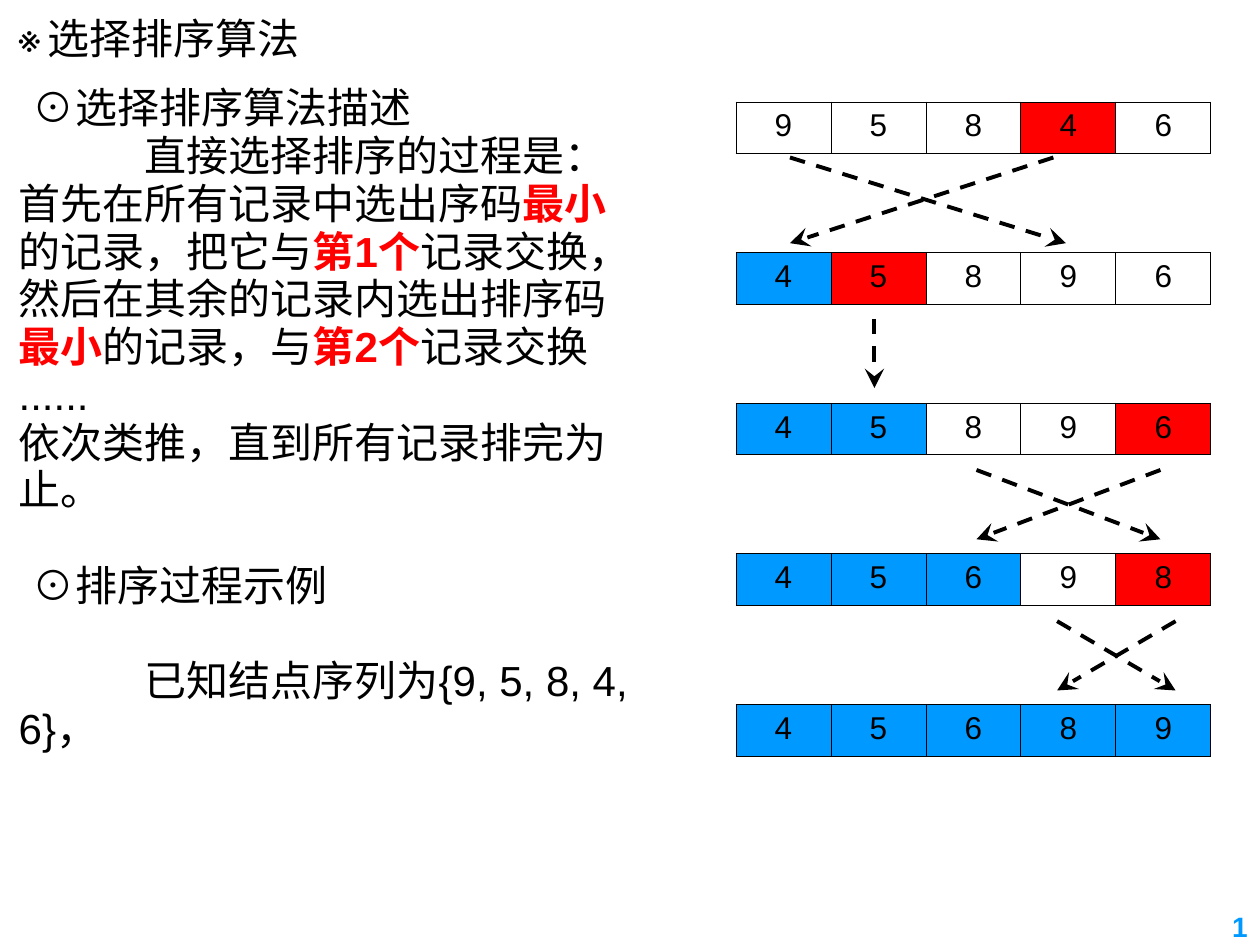
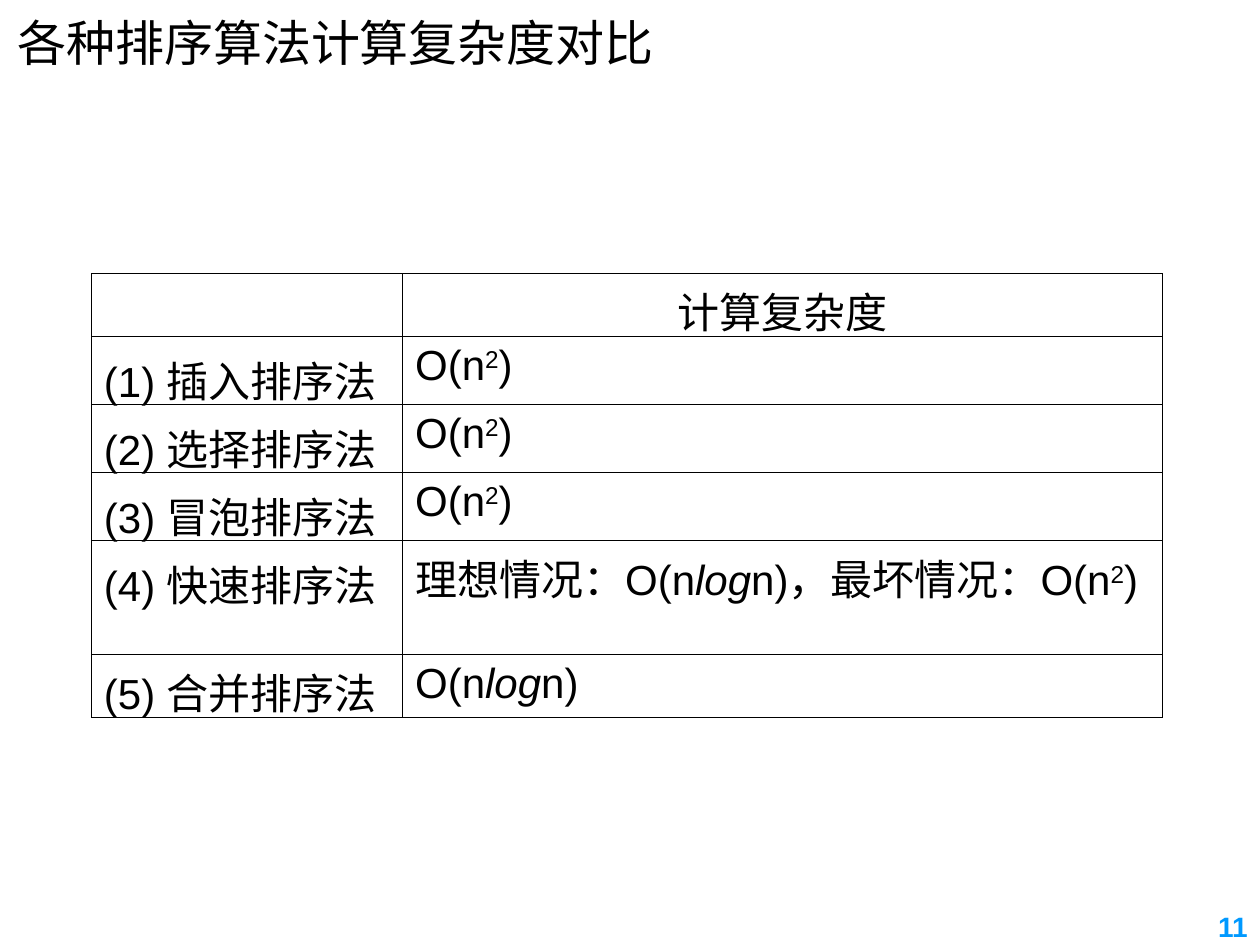
"""Build two slides on selection sort and the complexity of sorting algorithms."""
from lxml import etree
from pptx import Presentation
from pptx.dml.color import RGBColor
from pptx.enum import dml, shapes, text
from pptx.oxml import ns
from pptx.util import Inches, Pt

BLACK = RGBColor(0x00, 0x00, 0x00)
WHITE = RGBColor(0xFF, 0xFF, 0xFF)
RED = RGBColor(0xFF, 0x00, 0x00)
BLUE = RGBColor(0x00, 0x99, 0xFF)
FONT = "Arial"
BODY_SIZE = 24

KEY, LOG, POWER = "key", "log", "power"
HEADING, INDENTED, PLAIN = "heading", "indented", "plain"

SORT_TITLE = "选择排序算法"
DESCRIPTION = [
    (HEADING, 0, ["选择排序算法描述"]),
    (INDENTED, 0, ["直接选择排序的过程是："]),
    (PLAIN, 0, ["首先在所有记录中选出序码", ("最小", KEY), "的记录，把它与",
                ("第1个", KEY), "记录交换，"]),
    (PLAIN, 0, ["然后在其余的记录内选出排序码", ("最小", KEY), "的记录，与",
                ("第2个", KEY), "记录交换"]),
    (PLAIN, 0, ["......"]),
    (PLAIN, 0, ["依次类推，直到所有记录排完为止。"]),
    (HEADING, 1, ["排序过程示例"]),
    (INDENTED, 1, ["已知结点序列为{9, 5, 8, 4, 6}，"]),
]
SORT_STEPS = [
    {"values": "95846", "sorted": 0, "smallest": 3},
    {"values": "45896", "sorted": 1, "smallest": 1},
    {"values": "45896", "sorted": 2, "smallest": 4},
    {"values": "45698", "sorted": 3, "smallest": 4},
    {"values": "45689", "sorted": 5, "smallest": None},
]
SWAP_ARROWS = [
    (8.36, 1.25, 6.27, 1.93), (6.27, 1.25, 8.46, 1.93),
    (6.94, 2.53, 6.94, 3.08),
    (9.21, 3.73, 7.75, 4.28), (7.75, 3.73, 9.21, 4.28),
    (9.33, 4.93, 8.39, 5.48), (8.39, 4.93, 9.33, 5.48),
]

COMPLEXITY_TITLE = "各种排序算法计算复杂度对比"
COMPLEXITY_HEADER = "计算复杂度"
SQUARE = ["O(n", ("2", POWER), ")"]
N_LOG_N = ["O(n", ("log", LOG), "n)"]
COMPLEXITIES = [
    ("(1) 插入排序法", SQUARE, 0.54, 1.1),
    ("(2) 选择排序法", SQUARE, 0.54, 1.1),
    ("(3) 冒泡排序法", SQUARE, 0.54, 1.1),
    ("(4) 快速排序法", ["理想情况：O(n", ("log", LOG), "n)，最坏情况："] + SQUARE, 0.9, 1.1),
    ("(5) 合并排序法", N_LOG_N, 0.5, 1.0),
]


def write(para, pieces, size, color=BLACK, bold=False):
    for piece in pieces:
        wording, style = piece if isinstance(piece, tuple) else (piece, None)
        span = para.add_run()
        span.text = wording
        span.font.name = FONT
        span.font.size = Pt(size)
        span.font.bold = bold or style == KEY
        span.font.italic = style == LOG
        span.font.color.rgb = RED if style == KEY else color
        if style == POWER:
            span.font._element.set("baseline", "30000")


def set_indent(para, margin, first_line, bullet=None):
    props = para._p.get_or_add_pPr()
    props.set("marL", str(Inches(margin)))
    props.set("indent", str(Inches(first_line)))
    if bullet:
        etree.SubElement(props, ns.qn("a:buFont")).set("typeface", FONT)
        etree.SubElement(props, ns.qn("a:buChar")).set("char", bullet)


def add_box(page, left, top, width, height):
    box = page.shapes.add_textbox(*map(Inches, (left, top, width, height)))
    box.text_frame.word_wrap = True
    return box.text_frame


def add_page(deck, title, title_size, title_place, number):
    page = deck.slides.add_slide(deck.slide_layouts[6])
    title_para = add_box(page, *title_place).paragraphs[0]
    write(title_para, [title], title_size)
    number_para = add_box(page, 7.92, 7.17, 2.08, 0.5).paragraphs[0]
    number_para.alignment = text.PP_ALIGN.RIGHT
    write(number_para, [number], 16, BLUE, bold=True)
    return page, title_para


def add_grid(page, left, top, widths, heights):
    frame = page.shapes.add_table(len(heights), len(widths), *map(
        Inches, (left, top, sum(widths), sum(heights))))
    table = frame.table
    table.first_row = table.horz_banding = False
    for column, width in zip(table.columns, widths):
        column.width = Inches(width)
    for row, height in zip(table.rows, heights):
        row.height = Inches(height)
    for cell in table.iter_cells():
        props = cell._tc.get_or_add_tcPr()
        for side in ("a:lnL", "a:lnR", "a:lnT", "a:lnB"):
            line = etree.SubElement(props, ns.qn(side), w=str(Pt(0.45)))
            fill = etree.SubElement(line, ns.qn("a:solidFill"))
            etree.SubElement(fill, ns.qn("a:srgbClr"), val=str(BLACK))
        cell.fill.background()
    return table


def add_step(page, index, step):
    table = add_grid(page, 5.84, 0.81 + 1.195 * index, [0.754] * 5, [0.41])
    for position, value in enumerate(step["values"]):
        cell = table.cell(0, position)
        cell.fill.solid()
        if position == step["smallest"]:
            cell.fill.fore_color.rgb = RED
        else:
            cell.fill.fore_color.rgb = BLUE if position < step["sorted"] else WHITE
        para = cell.text_frame.paragraphs[0]
        para.alignment = text.PP_ALIGN.CENTER
        write(para, [value], 18)


def add_arrow(page, ends):
    arrow = page.shapes.add_connector(shapes.MSO_CONNECTOR.STRAIGHT, *map(Inches, ends))
    arrow.line.color.rgb = BLACK
    arrow.line.width = Pt(2.25)
    arrow.line.dash_style = dml.MSO_LINE.DASH
    etree.SubElement(arrow.line._get_or_add_ln(), ns.qn("a:tailEnd"),
                     type="stealth", w="lg", len="lg")
    etree.SubElement(arrow._element.spPr, ns.qn("a:effectLst"))


def build_sort_page(deck):
    page, title_para = add_page(deck, SORT_TITLE, 24, (0.04, 0.05, 8.5, 0.51), "1")
    set_indent(title_para, 0.24, -0.24, "※")
    frame = add_box(page, 0.05, 0.62, 5.19, 5.09)
    line_height = Pt(27.3)
    for index, (kind, lines_before, pieces) in enumerate(DESCRIPTION):
        para = frame.add_paragraph() if index else frame.paragraphs[0]
        para.line_spacing = line_height
        para._p.get_or_add_pPr().set("hangingPunct", "0")
        if lines_before:
            para.space_before = line_height * lines_before
        if kind == HEADING:
            set_indent(para, 0.45, -0.34, "⊙")
        elif kind == INDENTED:
            set_indent(para, 0, 1)
        write(para, pieces, BODY_SIZE)
    for index, step in enumerate(SORT_STEPS):
        add_step(page, index, step)
    for ends in SWAP_ARROWS:
        add_arrow(page, ends)


def build_complexity_page(deck):
    page, _ = add_page(deck, COMPLEXITY_TITLE, 28, (0.04, 0.05, 5.31, 0.57), "11")
    heights = [0.5] + [height for _, _, height, _ in COMPLEXITIES]
    table = add_grid(page, 0.725, 2.17, [2.47, 6.03], heights)
    header = table.cell(0, 1).text_frame.paragraphs[0]
    header.alignment = text.PP_ALIGN.CENTER
    write(header, [COMPLEXITY_HEADER], BODY_SIZE)
    for row, (name, cost, _, spacing) in enumerate(COMPLEXITIES, 1):
        name_para = table.cell(row, 0).text_frame.paragraphs[0]
        name_para.line_spacing = spacing
        write(name_para, [name], BODY_SIZE)
        write(table.cell(row, 1).text_frame.paragraphs[0], cost, BODY_SIZE)


def main():
    deck = Presentation()
    deck.slide_width, deck.slide_height = Inches(10), Inches(7.5)
    build_sort_page(deck)
    build_complexity_page(deck)
    deck.save("out.pptx")


if __name__ == "__main__":
    main()
